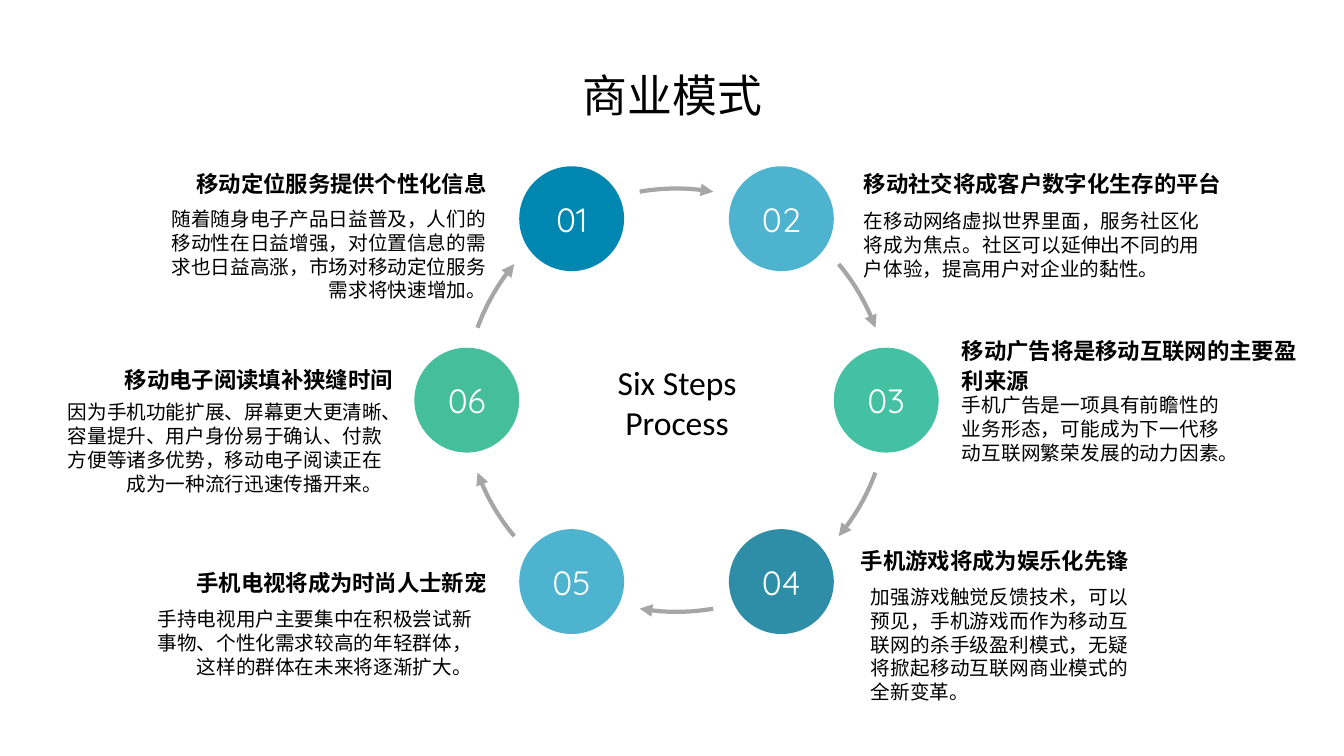
from dataclasses import dataclass
from math import cos, radians, sin

from lxml import etree
from pptx import Presentation
from pptx.dml.color import RGBColor
from pptx.enum.lang import MSO_LANGUAGE_ID
from pptx.enum.shapes import MSO_SHAPE
from pptx.enum.text import MSO_ANCHOR, MSO_AUTO_SIZE, PP_ALIGN
from pptx.oxml.ns import qn
from pptx.util import Pt

PX = 9144
OVAL = MSO_SHAPE.OVAL
TOP, MIDDLE = MSO_ANCHOR.TOP, MSO_ANCHOR.MIDDLE
GROW, FIXED = MSO_AUTO_SIZE.SHAPE_TO_FIT_TEXT, MSO_AUTO_SIZE.NONE
LEFT, CENTER = PP_ALIGN.LEFT, PP_ALIGN.CENTER
RIGHT, JUSTIFY = PP_ALIGN.RIGHT, PP_ALIGN.JUSTIFY
CHINESE = MSO_LANGUAGE_ID.SIMPLIFIED_CHINESE

COLORS = {
    "text": "000000",
    "white": "FFFFFF",
    "arrow": "A6A6A6",
    "blue": "0087B1",
    "sky": "4EB3CF",
    "mint": "44C1A3",
    "teal": "2E8EA8",
    "green": "45BE9B",
}
FONT, CENTER_FONT, CJK_FONT = "Quicksand", "Calibri", "Noto Sans CJK SC"

CENTER_X, CENTER_Y = 671, 397
RING_RADIUS, ARROW_RADIUS = 208, 210
CIRCLE_SIZE = 104
STEP_ANGLE, FIRST_ANGLE = 60, -120
ARROW_HALF_SPAN = 10


@dataclass(frozen=True)
class Box:
    x: int
    y: int
    w: int
    h: int

    def emu(self) -> tuple[int, int, int, int]:
        return self.x * PX, self.y * PX, self.w * PX, self.h * PX


@dataclass(frozen=True)
class Step:
    color: str
    head: str
    head_box: Box
    body: str
    body_box: Box
    body_align: PP_ALIGN


STEPS = [
    Step("blue", "移动定位服务提供个性化信息", Box(185, 161, 374, 39),
         "随着随身电子产品日益普及，人们的移动性在日益增强，对位置信息的需求也日益高涨，"
         "市场对移动定位服务需求将快速增加。", Box(154, 200, 338, 106), RIGHT),
    Step("sky", "移动社交将成客户数字化生存的平台", Box(847, 161, 422, 39),
         "在移动网络虚拟世界里面，服务社区化将成为焦点。社区可以延伸出不同的用户体验，"
         "提高用户对企业的黏性。", Box(847, 202, 353, 82), JUSTIFY),
    Step("mint", "移动广告将是移动互联网的主要盈利来源", Box(944, 327, 359, 69),
         "手机广告是一项具有前瞻性的业务形态，可能成为下一代移动互联网繁荣发展的动力因素。",
         Box(944, 385, 275, 82), JUSTIFY),
    Step("teal", "手机游戏将成为娱乐化先锋", Box(844, 535, 295, 39),
         "加强游戏触觉反馈技术，可以预见，手机游戏而作为移动互联网的杀手级盈利模式，"
         "无疑将掀起移动互联网商业模式的全新变革。", Box(854, 575, 275, 129), JUSTIFY),
    Step("sky", "手机电视将成为时尚人士新宠", Box(185, 557, 467, 39),
         "手持电视用户主要集中在积极尝试新事物、个性化需求较高的年轻群体，"
         "这样的群体在未来将逐渐扩大。", Box(140, 597, 338, 82), RIGHT),
    Step("green", "移动电子阅读填补狭缝时间", Box(114, 356, 332, 39),
         "因为手机功能扩展、屏幕更大更清晰、容量提升、用户身份易于确认、付款方便等诸多优势，"
         "移动电子阅读正在成为一种流行迅速传播开来。", Box(55, 392, 334, 106), RIGHT),
]


def rgb(name: str) -> RGBColor:
    return RGBColor.from_string(COLORS[name])


def ring_point(radius: float, angle: float) -> tuple[float, float]:
    a = radians(angle)
    return CENTER_X + radius * cos(a), CENTER_Y + radius * sin(a)


def write(p, text: str, size: int, font: str = FONT, color: str = "text",
          bold: bool = False, align: PP_ALIGN = CENTER, spacing=None) -> None:
    p.alignment = align
    if spacing is not None:
        p.line_spacing = spacing
    r = p.add_run()
    r.text = text
    r.font.size = Pt(size)
    r.font.bold = bold
    r.font.color.rgb = rgb(color)
    r.font.language_id = CHINESE
    r.font.name = font
    latin = r.font._element.find(qn("a:latin"))
    ea = etree.Element(qn("a:ea"), typeface=CJK_FONT)
    latin.addnext(ea)


def clear_margins(tf) -> None:
    tf.margin_left = tf.margin_top = tf.margin_right = tf.margin_bottom = 0
    tf.vertical_anchor = MIDDLE


def add_text_box(s, box: Box, auto_size: MSO_AUTO_SIZE = GROW):
    tf = s.shapes.add_textbox(*box.emu()).text_frame
    tf.word_wrap = True
    tf.auto_size = auto_size
    return tf


def add_title(s, text: str, box: Box) -> None:
    sp = s.shapes.title
    sp.left, sp.top, sp.width, sp.height = box.emu()
    tf = sp.text_frame
    tf.vertical_anchor = TOP
    tf.auto_size = FIXED
    write(tf.paragraphs[0], text, 32, CJK_FONT)


def add_center_label(s, lines: list[str]) -> None:
    tf = add_text_box(s, Box(557, 284, 229, 229), FIXED)
    clear_margins(tf)
    for i, line in enumerate(lines):
        p = tf.add_paragraph() if i else tf.paragraphs[0]
        write(p, line, 24, CENTER_FONT)


def add_circle(s, number: int, step: Step, angle: float) -> None:
    x, y = ring_point(RING_RADIUS, angle)
    half = CIRCLE_SIZE // 2
    box = Box(round(x) - half, round(y) - half, CIRCLE_SIZE, CIRCLE_SIZE)
    sp = s.shapes.add_shape(OVAL, *box.emu())
    sp.shadow.inherit = False
    sp.fill.solid()
    sp.fill.fore_color.rgb = rgb(step.color)
    sp.line.fill.background()
    clear_margins(sp.text_frame)
    write(sp.text_frame.paragraphs[0], f"{number:02d}", 24, color="white")


def add_arrow(s, middle: float) -> None:
    points = []
    for offset in range(-ARROW_HALF_SPAN, ARROW_HALF_SPAN + 1):
        x, y = ring_point(ARROW_RADIUS, middle + offset)
        points.append((x * PX, y * PX))
    builder = s.shapes.build_freeform(*points[0], scale=1.0)
    builder.add_line_segments(points[1:], close=False)
    sp = builder.convert_to_shape()
    sp.shadow.inherit = False
    sp.fill.background()
    sp.line.color.rgb = rgb("arrow")
    sp.line.width = Pt(3)
    ln = sp.line._get_or_add_ln()
    etree.SubElement(ln, qn("a:tailEnd"), type="triangle")


def add_step_text(s, step: Step) -> None:
    body = add_text_box(s, step.body_box)
    write(body.paragraphs[0], step.body, 14, align=step.body_align, spacing=Pt(17))
    head = add_text_box(s, step.head_box)
    write(head.paragraphs[0], step.head, 16, bold=True, align=LEFT, spacing=1.1)


def main() -> None:
    prs = Presentation()
    prs.slide_width, prs.slide_height = 1333 * PX, 750 * PX
    s = prs.slides.add_slide(prs.slide_layouts[5])
    add_title(s, "商业模式", Box(500, 62, 334, 67))
    add_center_label(s, ["Six Steps", "Process"])
    for i, step in enumerate(STEPS):
        angle = FIRST_ANGLE + i * STEP_ANGLE
        add_circle(s, i + 1, step, angle)
        add_arrow(s, angle + STEP_ANGLE / 2)
        add_step_text(s, step)
    prs.save("out.pptx")


if __name__ == "__main__":
    main()
